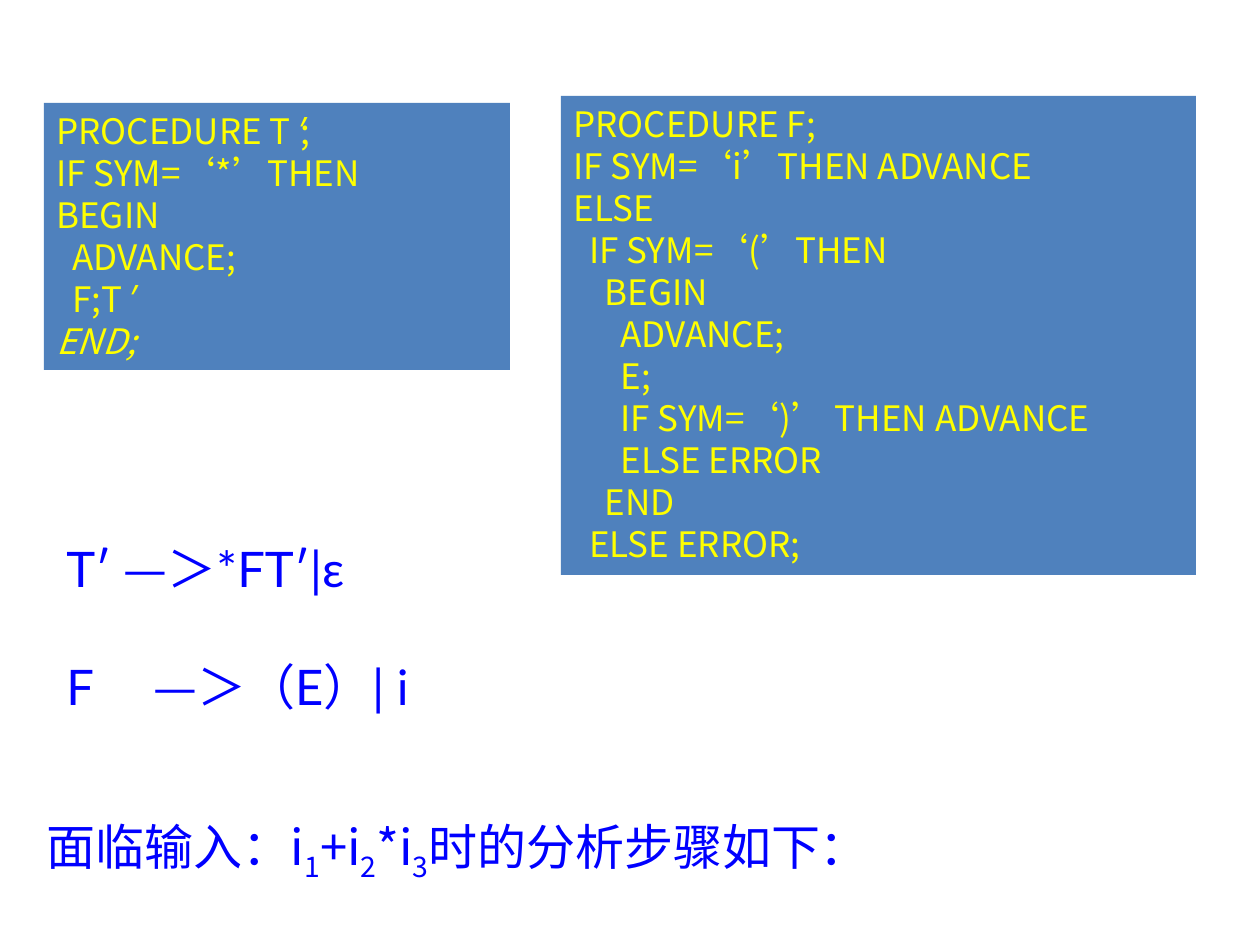
from lxml.etree import SubElement
from pptx import Presentation
from pptx.dml.color import RGBColor
from pptx.enum.shapes import MSO_SHAPE as Shape
from pptx.enum.text import MSO_ANCHOR as Anchor, PP_ALIGN as Align
from pptx.oxml.ns import qn
from pptx.util import Pt

SCALE = 914400 / 126
COLORS = {"panel": "4F81BD", "code": "FFFF00", "note": "0000FF"}
CJK = "Noto Sans CJK SC"
LATIN = "Lato"

PROCEDURE_T = [
    [("PROCEDURE T", False), ("′", True), (";", False)],
    [("IF SYM=‘*’THEN", False)],
    [("BEGIN", False)],
    [("  ADVANCE;", False)],
    [("  F;T", False), ("′", True)],
    [("END;", True)],
]
PROCEDURE_F = [
    [(line, False)]
    for line in (
        "PROCEDURE F;",
        "IF SYM=‘i’THEN ADVANCE",
        "ELSE",
        "  IF SYM=‘(’THEN",
        "    BEGIN",
        "      ADVANCE;",
        "      E;",
        "      IF SYM=‘)’ THEN ADVANCE",
        "      ELSE ERROR",
        "    END",
        "  ELSE ERROR;",
    )
]
GRAMMAR = [("T′ ", "＞*FT′|ε"), ("F\t", "＞（E）| i")]
INPUT = [("面临输入：i", "1"), ("+i", "2"), ("*i", "3"), ("时的分析步骤如下：", "")]


def px(length):
    return round(length * SCALE)


def rgb(key):
    return RGBColor.from_string(COLORS[key])


def add_words(paragraph, words, size, color, face=CJK):
    run = paragraph.add_run()
    run.text = words
    run.font.size = Pt(size)
    run.font.name = face
    run.font.color.rgb = rgb(color)
    SubElement(run.font._element, qn("a:ea"), typeface=CJK)
    return run


def paragraphs(frame, count):
    return [frame.paragraphs[0]] + [frame.add_paragraph() for _ in range(count - 1)]


def add_code_panel(slide, box, lines):
    panel = slide.shapes.add_shape(Shape.RECTANGLE, *map(px, box))
    panel.shadow.inherit = False
    panel.fill.solid()
    panel.fill.fore_color.rgb = rgb("panel")
    panel.line.fill.background()
    frame = panel.text_frame
    frame.word_wrap = True
    frame.vertical_anchor = Anchor.TOP
    for paragraph, line in zip(paragraphs(frame, len(lines)), lines):
        paragraph.alignment = Align.LEFT
        for words, italic in line:
            add_words(paragraph, words, 20, "code").font.italic = italic


def add_note(slide, box):
    frame = slide.shapes.add_textbox(*map(px, box)).text_frame
    frame.word_wrap = True
    return frame


def add_grammar(slide, box):
    frame = add_note(slide, box)
    for paragraph, (symbol, rule) in zip(paragraphs(frame, len(GRAMMAR)), GRAMMAR):
        tabs = SubElement(paragraph._p.get_or_add_pPr(), qn("a:tabLst"))
        SubElement(tabs, qn("a:tab"), pos=str(px(87)), algn="l")
        for words, face in ((symbol, LATIN), ("—", CJK), (rule, LATIN)):
            add_words(paragraph, words, 28, "note", face)
    frame.paragraphs[1].space_before = Pt(34)


def add_input(slide, box):
    paragraph = add_note(slide, box).paragraphs[0]
    for words, index in INPUT:
        add_words(paragraph, words, 28, "note")
        if index:
            subscript = add_words(paragraph, index, 28, "note")
            subscript.font._element.set("baseline", "-25000")


def main():
    deck = Presentation()
    deck.slide_width, deck.slide_height = px(1260), px(945)
    slide = deck.slides.add_slide(deck.slide_layouts[6])
    add_code_panel(slide, (44, 103, 466, 267), PROCEDURE_T)
    add_code_panel(slide, (561, 96, 635, 479), PROCEDURE_F)
    add_input(slide, (34, 810, 1160, 72))
    add_grammar(slide, (54, 532, 427, 190))
    deck.save("out.pptx")


if __name__ == "__main__":
    main()
